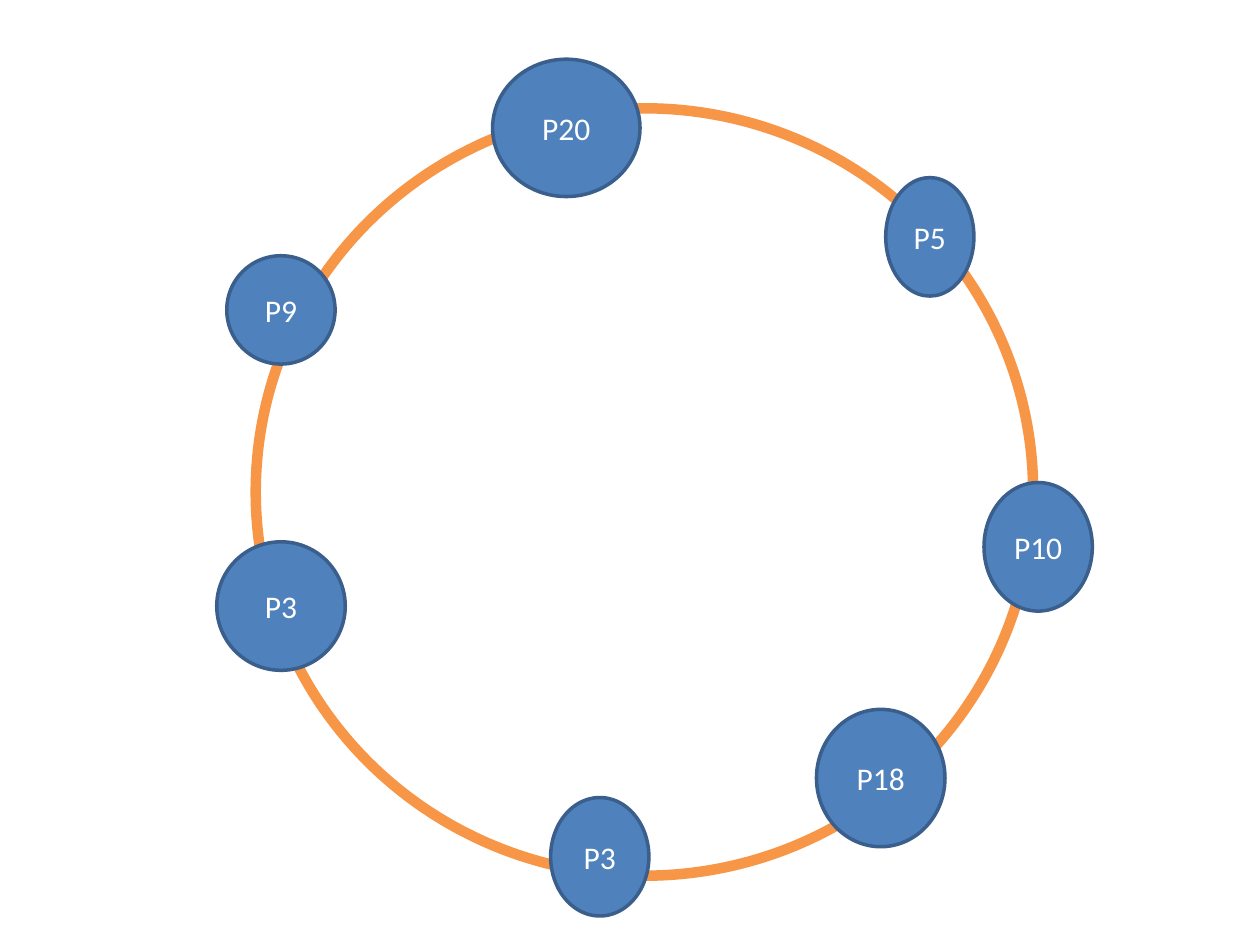
from pptx import Presentation
from pptx.dml.color import RGBColor
from pptx.enum.shapes import MSO_SHAPE
from pptx.enum.text import MSO_ANCHOR, PP_ALIGN
from pptx.util import Inches, Pt

OVAL = MSO_SHAPE.OVAL
MIDDLE = MSO_ANCHOR.MIDDLE
CENTER = PP_ALIGN.CENTER

COLORS = {"white": "FFFFFF", "ring": "F79646", "node": "4F81BD", "edge": "3A5F8C"}
FONT = {"name": "Calibri", "size": Pt(18)}

# Label, left, top, width, height in inches, clockwise from upper right
NODES = [
    ("P5", 7.03, 1.41, 0.7, 0.94),
    ("P10", 7.81, 3.83, 0.86, 1.02),
    ("P18", 6.48, 5.63, 1.02, 1.09),
    ("P3", 4.37, 6.33, 0.78, 0.94),
    ("P3", 1.72, 4.3, 1.02, 1.02),
    ("P9", 1.8, 2.03, 0.86, 0.86),
    ("P20", 3.91, 0.47, 1.17, 1.09),
]


def color(key):
    return RGBColor.from_string(COLORS[key])


def add_oval(group, box, fill, line, width):
    oval = group.shapes.add_shape(OVAL, *[Inches(v) for v in box])
    oval.shadow.inherit = False
    oval.fill.solid()
    oval.fill.fore_color.rgb = color(fill)
    oval.line.color.rgb = color(line)
    oval.line.width = Pt(width)
    return oval


prs = Presentation()
prs.slide_width, prs.slide_height = Inches(10), Inches(7.5)
slide = prs.slides.add_slide(prs.slide_layouts[6])
group = slide.shapes.add_group_shape()

# Ring
add_oval(group, (2.03, 0.86, 6.17, 6.09), "white", "ring", 6)

# Peers on the ring
for label, *box in NODES:
    node = add_oval(group, box, "node", "edge", 2)
    frame = node.text_frame
    frame.text = label
    frame.vertical_anchor = MIDDLE
    para = frame.paragraphs[0]
    para.alignment = CENTER
    font = para.runs[0].font
    for key, value in FONT.items():
        setattr(font, key, value)
    font.color.rgb = color("white")

prs.save("out.pptx")
